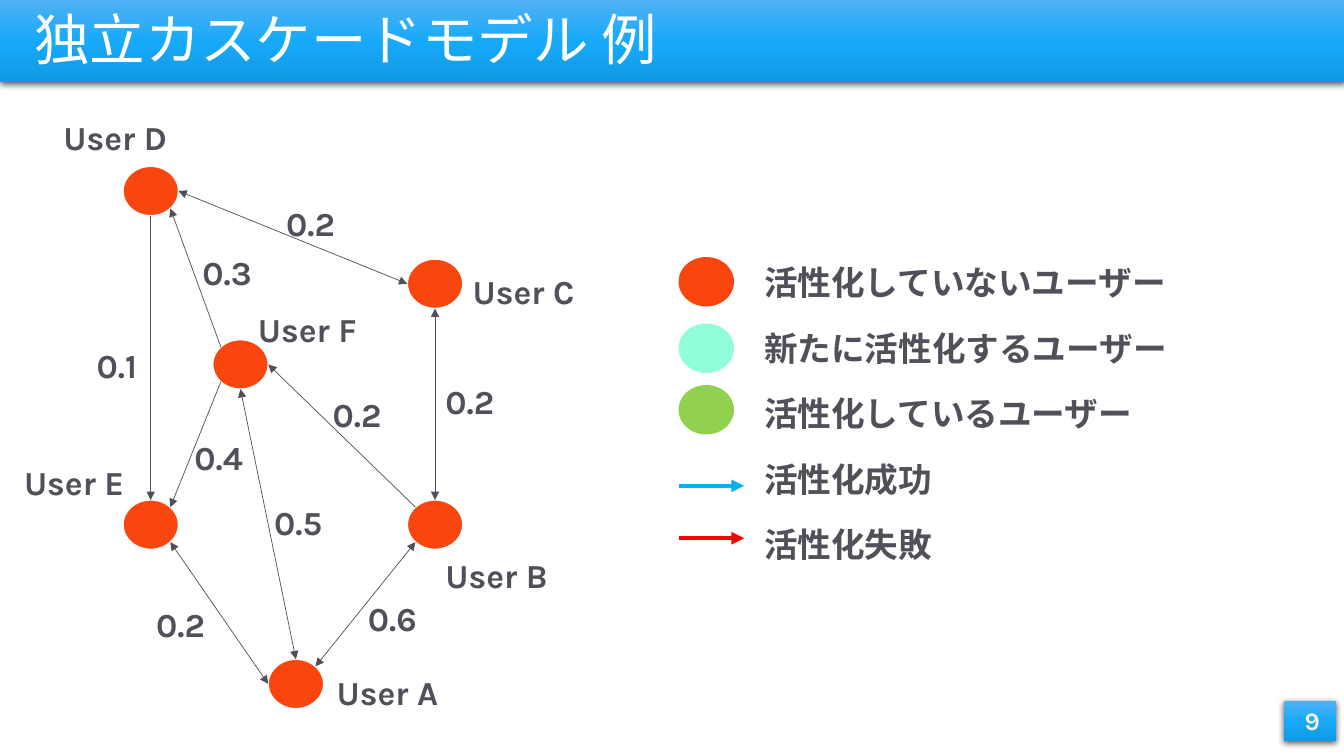
"""Build the independent cascade model example slide."""
from dataclasses import dataclass
from math import sqrt

from lxml.etree import SubElement
from pptx import Presentation
from pptx.dml.color import RGBColor
from pptx.enum.shapes import MSO_CONNECTOR, MSO_SHAPE
from pptx.enum.text import MSO_ANCHOR, PP_ALIGN
from pptx.oxml.ns import qn
from pptx.shapes.autoshape import Shape
from pptx.slide import Slide
from pptx.util import Inches, Pt


@dataclass(frozen=True)
class Theme:
    """Colours, type sizes and font of the slide."""
    font: str = "Karla"
    title_size: float = 39.6
    label_size: float = 24
    number_size: float = 18
    white: str = "FFFFFF"
    number: str = "F2F2F2"
    ink: str = "50505A"
    shadow: str = "000000"
    inactive: str = "F9450E"
    newly_active: str = "90FFD9"
    active: str = "92D050"
    success: str = "00B0F0"
    failure: str = "FF0000"
    bar: tuple[tuple[int, str], ...] = ((0, "50B1F4"), (50, "18AAFA"), (100, "0F99E5"))


@dataclass(frozen=True)
class Box:
    """A rectangle in inches."""
    left: float
    top: float
    width: float
    height: float


@dataclass(frozen=True)
class User:
    """A network node and the box of its label."""
    name: str
    left: float
    top: float
    label: Box


@dataclass(frozen=True)
class Edge:
    """A weighted link between compass points of two users."""
    start: str
    start_side: str
    end: str
    end_side: str
    weight: str
    label_left: float
    label_top: float
    head: bool = True
    tail: bool = True


@dataclass(frozen=True)
class LegendRow:
    """A legend text with a circle or an arrow beside it."""
    text: str
    color: str
    mark_top: float
    is_arrow: bool = False


THEME = Theme()
NODE_WIDTH, NODE_HEIGHT = 0.55, 0.49
LABEL_HEIGHT, WEIGHT_WIDTH = 0.5, 0.77
LEGEND_MARK_LEFT, LEGEND_TEXT_LEFT, LEGEND_TOP, LEGEND_STEP = 6.73, 7.48, 2.55, 0.65
LEGEND_TEXT_WIDTH, LEGEND_ARROW_LENGTH = 4.84, 0.65
DIAGONAL = 1 / sqrt(2)
SIDES = {
    "N": (0, -1), "S": (0, 1), "W": (-1, 0), "E": (1, 0),
    "NW": (-DIAGONAL, -DIAGONAL), "NE": (DIAGONAL, -DIAGONAL),
    "SW": (-DIAGONAL, DIAGONAL), "SE": (DIAGONAL, DIAGONAL),
}
USERS = {
    user.name: user
    for user in (
        User("A", 2.66, 6.54, Box(3.24, 6.62, 1.58, LABEL_HEIGHT)),
        User("B", 4.04, 4.96, Box(4.32, 5.46, 1.22, LABEL_HEIGHT)),
        User("C", 4.04, 2.57, Box(4.59, 2.64, 1.66, LABEL_HEIGHT)),
        User("D", 1.22, 1.65, Box(0.53, 1.11, 1.38, LABEL_HEIGHT)),
        User("E", 1.22, 4.96, Box(0.14, 4.53, 1.26, LABEL_HEIGHT)),
        User("F", 2.11, 3.37, Box(2.46, 3.02, 1.47, LABEL_HEIGHT)),
    )
}
EDGES = (
    Edge("A", "NE", "B", "SW", "0.6", 3.55, 5.88),
    Edge("A", "N", "F", "S", "0.5", 2.62, 4.93),
    Edge("F", "E", "B", "NW", "0.2", 3.2, 3.86, tail=False),
    Edge("D", "E", "C", "W", "0.2", 2.74, 1.96),
    Edge("D", "S", "E", "N", "0.1", 0.86, 3.37, head=False),
    Edge("E", "SE", "A", "W", "0.2", 1.45, 5.94),
    Edge("D", "SE", "F", "NW", "0.3", 1.91, 2.45, tail=False),
    Edge("C", "S", "B", "N", "0.2", 4.32, 3.73),
    Edge("F", "SW", "E", "NE", "0.4", 1.83, 4.29, head=False),
)
LEGEND = (
    LegendRow("活性化していないユーザー", THEME.inactive, 2.55),
    LegendRow("新たに活性化するユーザー", THEME.newly_active, 3.21),
    LegendRow("活性化しているユーザー", THEME.active, 3.82),
    LegendRow("活性化成功", THEME.success, 4.82, is_arrow=True),
    LegendRow("活性化失敗", THEME.failure, 5.34, is_arrow=True),
)


def add_shape(slide: Slide, preset: MSO_SHAPE, box: Box) -> Shape:
    """Add a preset shape without outline or shadow."""
    shape = slide.shapes.add_shape(
        preset, Inches(box.left), Inches(box.top), Inches(box.width), Inches(box.height))
    shape.line.fill.background()
    shape.shadow.inherit = False
    return shape


def add_bar(slide: Slide, box: Box) -> None:
    """Add a rectangle with a vertical gradient and a soft shadow."""
    shape = add_shape(slide, MSO_SHAPE.RECTANGLE, box)
    shape.fill.gradient()
    shape.fill.gradient_angle = 270
    properties = shape.element.spPr
    stops = properties.find(".//" + qn("a:gsLst"))
    for stop in list(stops):
        stops.remove(stop)
    for position, color in THEME.bar:
        stop = SubElement(stops, qn("a:gs"), pos=str(position * 1000))
        SubElement(stop, qn("a:srgbClr"), val=color)
    shadow = SubElement(
        properties.find(qn("a:effectLst")), qn("a:outerShdw"),
        blurRad=str(Pt(4.5)), dist=str(Pt(1.5)), dir="5400000", rotWithShape="0")
    shadow_color = SubElement(shadow, qn("a:srgbClr"), val=THEME.shadow)
    SubElement(shadow_color, qn("a:alpha"), val="63000")


def add_text(slide: Slide, text: str, box: Box, size: float = THEME.label_size,
             color: str = THEME.ink, bold: bool = True,
             anchor: MSO_ANCHOR = MSO_ANCHOR.TOP,
             alignment: PP_ALIGN = PP_ALIGN.LEFT, line_spacing: float = 1.0) -> None:
    """Add a one-paragraph text box."""
    frame = slide.shapes.add_textbox(
        Inches(box.left), Inches(box.top), Inches(box.width), Inches(box.height)).text_frame
    frame.word_wrap = True
    frame.vertical_anchor = anchor
    frame.text = text
    paragraph = frame.paragraphs[0]
    paragraph.alignment = alignment
    paragraph.line_spacing = line_spacing
    font = paragraph.runs[0].font
    font.name, font.size, font.bold = THEME.font, Pt(size), bold
    font.color.rgb = RGBColor.from_string(color)


def add_circle(slide: Slide, left: float, top: float, color: str, outlined: bool = False) -> None:
    """Add a user circle, with a white outline if asked."""
    shape = add_shape(slide, MSO_SHAPE.OVAL, Box(left, top, NODE_WIDTH, NODE_HEIGHT))
    shape.fill.solid()
    shape.fill.fore_color.rgb = RGBColor.from_string(color)
    if outlined:
        shape.line.color.rgb = RGBColor.from_string(THEME.white)
        shape.line.width = Pt(1)


def add_arrow(slide: Slide, start: tuple[float, float], end: tuple[float, float],
              color: str, width: float, head: bool, tail: bool) -> None:
    """Add a straight line with arrowheads at the chosen ends."""
    connector = slide.shapes.add_connector(
        MSO_CONNECTOR.STRAIGHT, *(Inches(length) for length in (*start, *end)))
    connector.line.color.rgb = RGBColor.from_string(color)
    connector.line.width = Pt(width)
    properties = connector.element.spPr
    for tag, wanted in (("a:headEnd", head), ("a:tailEnd", tail)):
        if wanted:
            SubElement(properties.find(qn("a:ln")), qn(tag), type="triangle")
    SubElement(properties, qn("a:effectLst"))


def side_point(user: User, side: str) -> tuple[float, float]:
    """Return the point of a user's circle at a compass side."""
    across, down = SIDES[side]
    return (user.left + NODE_WIDTH / 2 * (1 + across), user.top + NODE_HEIGHT / 2 * (1 + down))


def add_network(slide: Slide) -> None:
    """Draw the users, their links and all labels."""
    for user in USERS.values():
        add_circle(slide, user.left, user.top, THEME.inactive, outlined=True)
        add_text(slide, f"User {user.name}", user.label)
    for edge in EDGES:
        add_arrow(slide, side_point(USERS[edge.start], edge.start_side),
                  side_point(USERS[edge.end], edge.end_side),
                  THEME.ink, 0.5, edge.head, edge.tail)
        add_text(slide, edge.weight,
                 Box(edge.label_left, edge.label_top, WEIGHT_WIDTH, LABEL_HEIGHT))


def add_legend(slide: Slide) -> None:
    """Draw the legend rows at an equal step."""
    for index, row in enumerate(LEGEND):
        if row.is_arrow:
            add_arrow(slide, (LEGEND_MARK_LEFT, row.mark_top),
                      (LEGEND_MARK_LEFT + LEGEND_ARROW_LENGTH, row.mark_top),
                      row.color, 3, head=False, tail=True)
        else:
            add_circle(slide, LEGEND_MARK_LEFT, row.mark_top, row.color)
        add_text(slide, row.text, Box(LEGEND_TEXT_LEFT, LEGEND_TOP + index * LEGEND_STEP,
                                      LEGEND_TEXT_WIDTH, LABEL_HEIGHT))


def main() -> None:
    """Build and save the presentation."""
    presentation = Presentation()
    presentation.slide_width, presentation.slide_height = Inches(13.33), Inches(7.5)
    slide = presentation.slides.add_slide(presentation.slide_layouts[6])
    add_bar(slide, Box(0, 0, 13.33, 0.81))
    add_bar(slide, Box(12.73, 6.95, 0.52, 0.4))
    add_text(slide, "独立カスケードモデル 例", Box(0.24, 0.06, 11.33, 0.73), THEME.title_size,
             THEME.white, bold=False, anchor=MSO_ANCHOR.MIDDLE, line_spacing=0.9)
    add_text(slide, "9", Box(12.67, 6.95, 0.52, 0.4), THEME.number_size, THEME.number,
             anchor=MSO_ANCHOR.MIDDLE, alignment=PP_ALIGN.RIGHT)
    add_network(slide)
    add_legend(slide)
    presentation.save("out.pptx")


if __name__ == "__main__":
    main()
